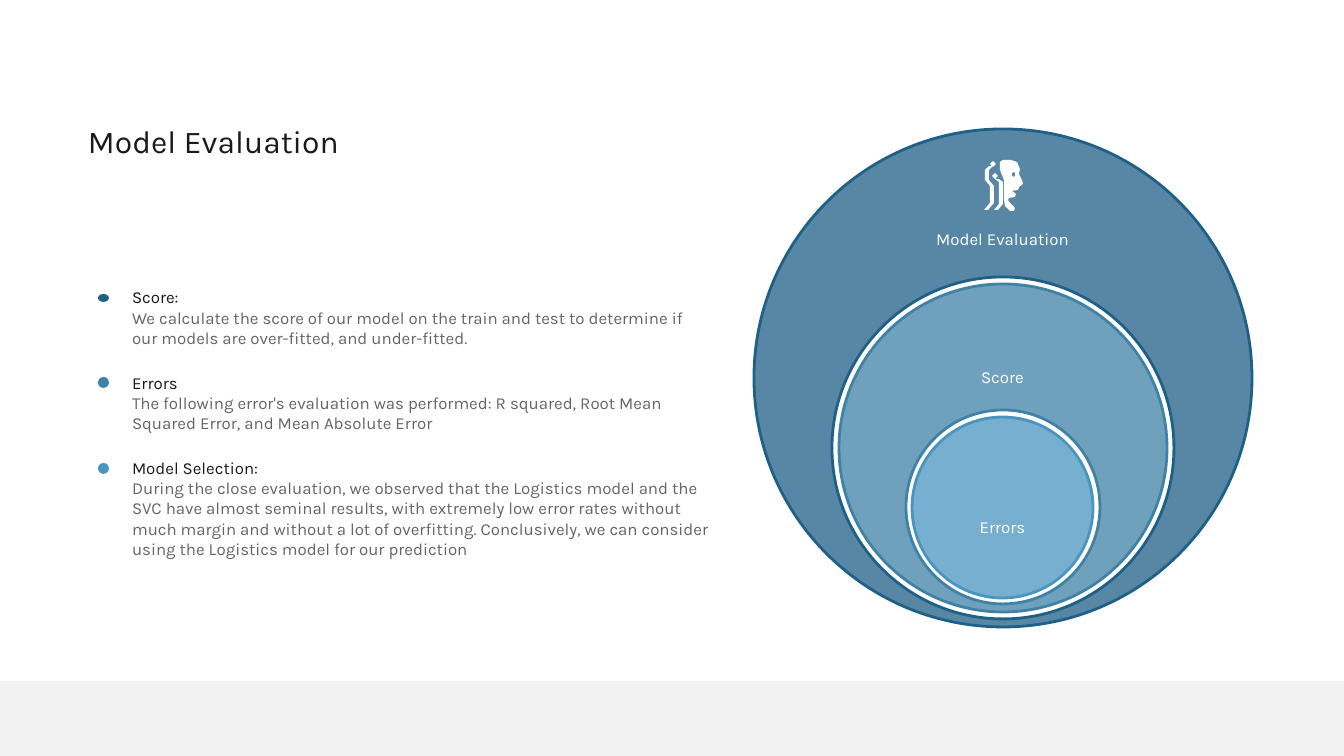
import math
from dataclasses import dataclass
from pptx import Presentation
from pptx import util as u
from pptx.dml.color import RGBColor
from pptx.enum import shapes, text
from pptx.oxml.ns import qn
from lxml import etree


@dataclass(frozen=True)
class Theme:
    font: str = "Karla"
    ink: str = "1A1A1A"
    gray: str = "656565"
    pale: str = "FCFFFF"
    white: str = "FFFFFF"
    band: str = "F2F2F2"
    blues: tuple = ("1F6087", "3F82A6", "4995BF")
    head: int = 17
    body: int = 9
    gap: float = 13.25
    edge: float = 1.5


T = Theme()
SCALE = u.Inches(10) / 1344
MID = 1003
RINGS = (((378, 249), (448, 171)), ((448, 164), (507, 97)))
CORE = (912, 417, 181, 181)
NOTES = (
    ("Score:", "We calculate the score of our model on the train and test to determine if our models are over-fitted, and under-fitted."),
    ("Errors", "The following error's evaluation was performed: R squared, Root Mean Squared Error, and Mean Absolute Error"),
    ("Model Selection:", "During the close evaluation, we observed that the Logistics model and the SVC have almost seminal results, with extremely low error rates without much margin and without a lot of overfitting. Conclusively, we can consider using the Logistics model for our prediction"),
)
FACE = (
    (1000, 162), (1003, 160), (1011, 160), (1017, 162), (1020, 169), (1019, 174),
    (1022, 180), (1023, 184), (1019, 187), (1018, 190), (1012, 191), (1016, 194),
    (1015, 197), (1009, 198), (1008, 200), (1010, 203), (1015, 208), (1014, 211),
    (1010, 211), (1005, 206), (1004, 199), (1004, 180), (1000, 170),
)
EYE = ((1014, 172), (1012, 173), (1012, 176), (1014, 177), (1015, 176), (1015, 173))
DOTS = ((993, 164), (995, 176))
WIRES = (
    ((991, 166), (987, 170), (987, 180), (992, 186), (992, 203), (986, 210)),
    ((997, 179), (1001, 182), (1001, 204), (996, 210)),
)


def px(n):
    return u.Emu(round(n * SCALE))


def rgb(code):
    return RGBColor.from_string(code)


def paint(shape, fill=None, line=None, alpha=None):
    shape.shadow.inherit = False
    if fill:
        shape.fill.solid()
        shape.fill.fore_color.rgb = rgb(fill)
    else:
        shape.fill.background()
    if alpha:
        tint = shape._element.spPr.find(qn("a:solidFill")).find(qn("a:srgbClr"))
        etree.SubElement(tint, qn("a:alpha")).set("val", str(alpha * 1000))
    if line:
        shape.line.color.rgb = rgb(line)
        shape.line.width = u.Pt(T.edge)
    else:
        shape.line.fill.background()


def block(slide, kind, x, y, w, h, **look):
    shape = slide.shapes.add_shape(kind, px(x), px(y), px(w), px(h))
    paint(shape, **look)


def oval(slide, *box, **look):
    block(slide, shapes.MSO_SHAPE.OVAL, *box, **look)


def outline(slide, loops, **look):
    paths = [[(px(x), px(y)) for x, y in loop] for loop in loops]
    build = slide.shapes.build_freeform(*paths[0][0], scale=1.0)
    for i, path in enumerate(paths):
        if i:
            build.move_to(*path[0])
        build.add_line_segments(path[1:], close=True)
    shape = build.convert_to_shape()
    paint(shape, **look)
    return shape


def arcs(y, r, way=1):
    pull = r * 4 / 3 * math.tan(math.pi / 8)
    loop = [(MID, y - r)]
    for i in range(4):
        a, b = (way * math.pi / 2 * n for n in (i, i + 1))
        for turn, tug in ((a, pull), (b, -pull), (b, 0)):
            sin, cos = math.sin(turn), math.cos(turn)
            loop.append((MID + r * sin + way * tug * cos,
                         y - r * cos + way * tug * sin))
    return loop


def bend(shape):
    lines = list(shape._element.spPr.iter(qn("a:lnTo")))
    for i in range(0, len(lines), 3):
        curve = etree.Element(qn("a:cubicBezTo"))
        lines[i].addprevious(curve)
        for line in lines[i:i + 3]:
            curve.append(line[0])
            line.getparent().remove(line)


def ring(slide, outer, inner, **look):
    bend(outline(slide, (arcs(*outer), arcs(*inner, way=-1)), **look))


def place(shape, x, y, w, h, anchor):
    shape.left, shape.top, shape.width, shape.height = map(px, (x, y, w, h))
    frame = shape.text_frame
    frame.word_wrap = True
    frame.auto_size = text.MSO_AUTO_SIZE.NONE
    frame.vertical_anchor = anchor
    frame.margin_left = frame.margin_right = px(3)
    frame.margin_top = frame.margin_bottom = px(3)
    return frame


def write(para, words, size, color, align=text.PP_ALIGN.LEFT, before=0):
    para.text = words
    para.alignment = align
    para.space_before = u.Pt(before)
    para.font.name = T.font
    para.font.size = u.Pt(size)
    para.font.color.rgb = rgb(color)


def plain(para):
    props = para._p.get_or_add_pPr()
    props.set("marL", "0")
    props.set("indent", "0")
    props.find(qn("a:defRPr")).addprevious(etree.Element(qn("a:buNone")))


def label(slide, words, y):
    box = slide.shapes.add_textbox(0, 0, 0, 0)
    frame = place(box, MID - 94, y, 187, 26, text.MSO_ANCHOR.TOP)
    write(frame.paragraphs[0], words, T.body, T.pale, text.PP_ALIGN.CENTER)


def notes(slide):
    frame = place(slide.placeholders[1], 129, 284, 582, 310, text.MSO_ANCHOR.TOP)
    for i, (head, detail) in enumerate(NOTES):
        para = frame.add_paragraph() if i else frame.paragraphs[0]
        write(para, head, T.body, T.ink, before=T.gap if i else 0)
        plain(para)
        para = frame.add_paragraph()
        write(para, detail, T.body, T.gray)
        plain(para)
    for (y, h), color in zip(((294, 8), (377, 11), (463, 11)), T.blues):
        oval(slide, 98, y, 11, h, fill=color)


def circles(slide):
    for pair, color in zip(RINGS, T.blues):
        ring(slide, *pair, fill=color, alpha=75)
        ring(slide, *pair, line=color)
    oval(slide, *CORE, line=T.blues[2])
    oval(slide, *CORE, fill=T.blues[2], alpha=75)


def icon(slide):
    wires = [[(x - 2, y) for x, y in wire] + [(x + 2, y) for x, y in wire[::-1]]
             for wire in WIRES]
    dots = [[(x - 3, y), (x, y - 3), (x + 3, y), (x, y + 3)] for x, y in DOTS]
    outline(slide, (FACE, EYE, *wires, *dots), fill=T.white)


def main():
    deck = Presentation()
    deck.slide_width, deck.slide_height = px(1344), px(756)
    slide = deck.slides.add_slide(deck.slide_layouts[1])
    frame = place(slide.shapes.title, 85, 118, 596, 45, text.MSO_ANCHOR.BOTTOM)
    write(frame.paragraphs[0], "Model Evaluation", T.head, T.ink)
    notes(slide)
    circles(slide)
    for words, y in (("Model Evaluation", 226), ("Score", 364), ("Errors", 514)):
        label(slide, words, y)
    icon(slide)
    block(slide, shapes.MSO_SHAPE.RECTANGLE, 0, 681, 1344, 75, fill=T.band)
    deck.save("out.pptx")


if __name__ == "__main__":
    main()
